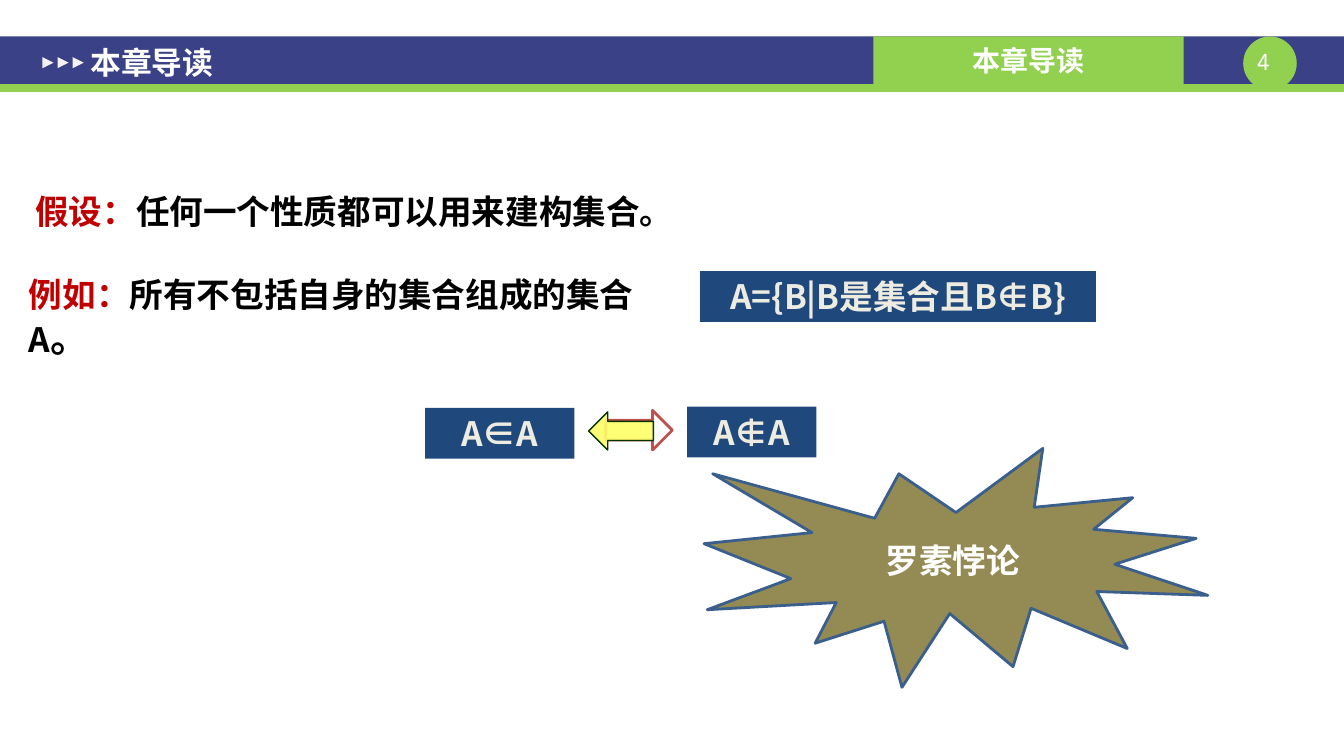
"""Build the chapter guide slide on Russell's paradox."""
from lxml import etree
from pptx import Presentation
from pptx import util as u
from pptx.dml import color
from pptx.enum import shapes, text
from pptx.oxml import ns


class Theme:
    navy, green, pale = "3A4187", "92D050", "F2F2F2"
    blue, cream, red = "1F497D", "EEECE1", "C00000"
    white, black, rust = "FFFFFF", "000000", "C0504D"
    lemon, moss, olive, edge = "FFFF66", "003300", "948A54", "3A5F8C"
    sans, mono = "Noto Sans CJK SC", "Noto Sans Mono"
    page, tab, title, body, stop = 16, 20, 22, 24, 28


def draw(kind, box, fill=None, line=None, width=2):
    area = [u.Cm(n) for n in box]
    if kind is None:
        return page.shapes.add_textbox(*area)
    item = page.shapes.add_shape(kind, *area)
    item.shadow.inherit = False
    item.fill.solid()
    item.fill.fore_color.rgb = color.RGBColor.from_string(fill)
    if line:
        item.line.color.rgb = color.RGBColor.from_string(line)
        item.line.width = u.Pt(width)
    else:
        item.line.fill.background()
    return item


def write(item, runs, size=Theme.body, font=Theme.sans, bold=True,
          align="LEFT", anchor="TOP", inset=(0.25, 0.13), grow=False):
    frame = item.text_frame
    frame.word_wrap = True
    frame.vertical_anchor = text.MSO_ANCHOR[anchor]
    frame.margin_left = frame.margin_right = u.Cm(inset[0])
    frame.margin_top = frame.margin_bottom = u.Cm(inset[1])
    if grow:
        frame.auto_size = text.MSO_AUTO_SIZE.SHAPE_TO_FIT_TEXT
    para = frame.paragraphs[0]
    para.alignment = text.PP_ALIGN[align]
    for words, hue, *own in runs:
        run = para.add_run()
        run.text = words
        run.font.size = u.Pt(own[0] if own else size)
        run.font.bold = bold
        run.font.name = font
        run.font.color.rgb = color.RGBColor.from_string(hue)
        east = etree.SubElement(run.font._element, ns.qn("a:ea"))
        east.set("typeface", font)


deck = Presentation()
deck.slide_width, deck.slide_height = u.Cm(33.88), u.Cm(19.05)
page = deck.slides.add_slide(deck.slide_layouts[6])
kinds = shapes.MSO_SHAPE

draw(kinds.RECTANGLE, (0, 0.92, 33.88, 1.2), Theme.navy)
draw(kinds.OVAL, (31.34, 0.92, 1.35, 1.35), Theme.green)
draw(kinds.RECTANGLE, (0, 2.12, 33.88, 0.2), Theme.green)
write(draw(None, (31.17, 1.22, 1.35, 0.69)), [("4", Theme.white)],
      size=Theme.page, font=Theme.mono, bold=False, align="CENTER", inset=(0, 0), grow=True)
write(draw(kinds.RECTANGLE, (22.02, 0.92, 7.82, 1.2), Theme.green),
      [("本章导读", Theme.white)], size=Theme.tab, align="CENTER", anchor="MIDDLE")
for step in range(3):
    mark = draw(kinds.ISOSCELES_TRIANGLE, (1.07 + 0.38 * step, 1.44, 0.28, 0.28), Theme.pale)
    mark.rotation = 90
write(draw(None, (1.95, 1, 14.2, 1.12)), [("本章导读", Theme.white)],
      size=Theme.title, anchor="MIDDLE", inset=(0.33, 0.18))

write(draw(None, (0.64, 4.67, 19.86, 1.27)),
      [("假设：", Theme.red), ("任何一个性质都可以用来建构集合。", Theme.black)], grow=True)
write(draw(None, (0.48, 6.76, 17.09, 1.45)),
      [("例如：", Theme.red), ("所有不包括自身的集合组成的集合A", Theme.black),
       ("。", Theme.black, Theme.stop)], grow=True)

claims = [
    ("A={B|B是集合且B∉B}", (17.65, 6.83, 9.98, 1.28)),
    ("A∈A", (10.72, 10.28, 3.76, 1.28)),
    ("A∉A", (17.32, 10.25, 3.26, 1.28)),
]
for words, box in claims:
    write(draw(kinds.RECTANGLE, box, Theme.blue), [(words, Theme.cream)],
          align="CENTER", grow=True)

draw(kinds.RIGHT_ARROW, (15.27, 10.34, 1.68, 1), Theme.white, Theme.rust)
left = draw(kinds.LEFT_ARROW, (14.84, 10.38, 1.63, 0.96), Theme.lemon, Theme.moss, 1)
tint = left.fill._xPr.find(ns.qn("a:solidFill"))[0]
etree.SubElement(tint, ns.qn("a:alpha")).set("val", "90000")

burst = draw(kinds.EXPLOSION1, (17.75, 11.3, 12.7, 6.02), Theme.olive, Theme.edge)
write(burst, [("罗素悖论", Theme.white)], align="CENTER", anchor="MIDDLE")

deck.save("out.pptx")
